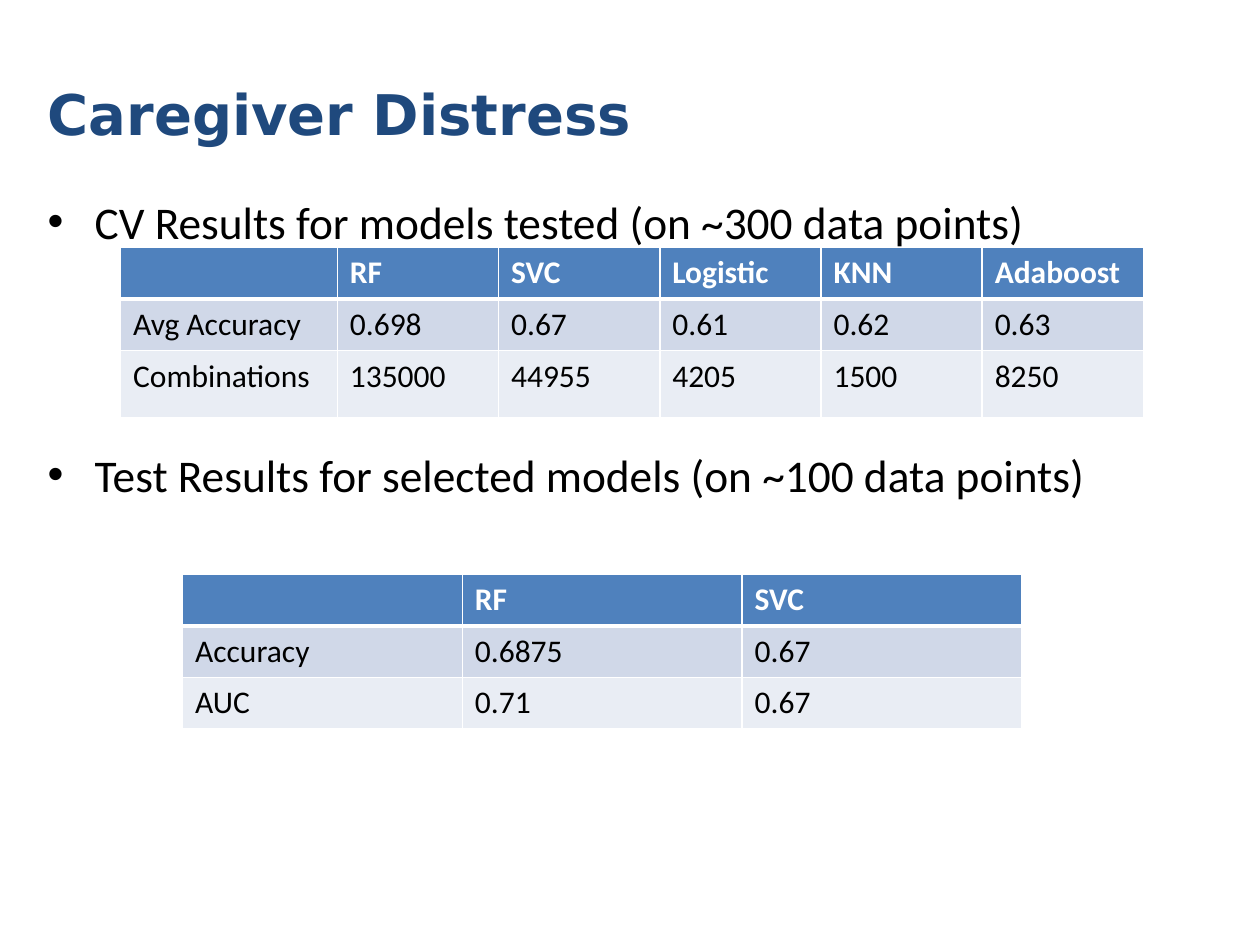
from dataclasses import dataclass

from lxml import etree
from pptx import Presentation
from pptx import util as u
from pptx.dml.color import RGBColor
from pptx.enum import text
from pptx.oxml import ns


@dataclass(frozen=True)
class Theme:
    """Colours, fonts and type sizes of the slide."""
    heading: str = "1F497D"
    ink: str = "000000"
    paper: str = "FFFFFF"
    header: str = "4F81BD"
    bands: tuple = ("D0D8E8", "E9EDF4")
    title_font: str = "DejaVu Sans"
    body_font: str = "Calibri"
    title_size: float = 32
    body_size: float = 25.9
    table_size: float = 18
    rule: float = 1
    header_rule: float = 3


THEME = Theme()


def add_span(para, words, font, size, color, bold=False):
    """Append one styled run to a paragraph."""
    span = para.add_run()
    span.text = words
    span.font.name = font
    span.font.size = u.Pt(size)
    span.font.bold = bold
    span.font.color.rgb = RGBColor.from_string(color)


def add_title(page, box, words):
    """Place the heading, centred vertically in its box."""
    frame = page.shapes.add_textbox(*map(u.Cm, box)).text_frame
    frame.word_wrap = True
    frame.vertical_anchor = text.MSO_ANCHOR.MIDDLE
    add_span(frame.paragraphs[0], words, THEME.title_font, THEME.title_size,
             THEME.heading, bold=True)


def add_bullets(page, box, items, gap, indent=u.Cm(0.95)):
    """Place a bulleted list with a gap in points between its items."""
    frame = page.shapes.add_textbox(*map(u.Cm, box)).text_frame
    frame.word_wrap = True
    for index, words in enumerate(items):
        para = frame.add_paragraph() if index else frame.paragraphs[0]
        props = para._p.get_or_add_pPr()
        props.set("marL", str(indent))
        props.set("indent", str(-indent))
        etree.SubElement(props, ns.qn("a:buFont"), typeface="Arial")
        etree.SubElement(props, ns.qn("a:buChar"), char="•")
        if index:
            para.space_before = u.Pt(gap)
        add_span(para, words, THEME.body_font, THEME.body_size, THEME.ink)


def set_borders(cell, top, bottom):
    """Rule all four sides of a cell, with its own top and bottom widths."""
    props = cell._tc.get_or_add_tcPr()
    widths = {"lnL": THEME.rule, "lnR": THEME.rule, "lnT": top, "lnB": bottom}
    for side, width in widths.items():
        line = etree.SubElement(props, ns.qn(f"a:{side}"), w=str(u.Pt(width)))
        fill = etree.SubElement(line, ns.qn("a:solidFill"))
        etree.SubElement(fill, ns.qn("a:srgbClr"), val=THEME.paper)


def add_results(page, corner, widths, heights, rows):
    """Place a banded results table with its top left at the corner."""
    box = (*corner, sum(widths), sum(heights))
    table = page.shapes.add_table(len(rows), len(widths), *map(u.Cm, box)).table
    table.horz_banding = False
    for column, width in zip(table.columns, widths):
        column.width = u.Cm(width)
    for r, (height, values) in enumerate(zip(heights, rows)):
        table.rows[r].height = u.Cm(height)
        is_header = r == 0
        fill = THEME.header if is_header else THEME.bands[(r - 1) % 2]
        color = THEME.paper if is_header else THEME.ink
        top = THEME.header_rule if r == 1 else THEME.rule
        bottom = THEME.header_rule if is_header else THEME.rule
        for c, value in enumerate(values):
            cell = table.cell(r, c)
            set_borders(cell, top, bottom)
            cell.fill.solid()
            cell.fill.fore_color.rgb = RGBColor.from_string(fill)
            if value:
                add_span(cell.text_frame.paragraphs[0], value, THEME.body_font,
                         THEME.table_size, color, bold=is_header)


def main():
    """Build and save the slide."""
    deck = Presentation()
    deck.slide_width, deck.slide_height = u.Cm(25.4), u.Cm(19.05)
    page = deck.slides.add_slide(deck.slide_layouts[6])
    add_title(page, (0.71, 0.69, 22.86, 3.18), "Caregiver Distress")
    add_bullets(page, (0.71, 3.78, 22.86, 6.65), [
        "CV Results for models tested (on ~300 data points)",
        "Test Results for selected models (on ~100 data points)",
    ], gap=113.5)
    add_results(page, (2.43, 4.99), [4.37] + [3.25] * 5, [1.04, 1.04, 1.35], [
        ["", "RF", "SVC", "Logistic", "KNN", "Adaboost"],
        ["Avg Accuracy", "0.698", "0.67", "0.61", "0.62", "0.63"],
        ["Combinations", "135000", "44955", "4205", "1500", "8250"],
    ])
    add_results(page, (3.68, 11.58), [5.64] * 3, [1.04] * 3, [
        ["", "RF", "SVC"],
        ["Accuracy", "0.6875", "0.67"],
        ["AUC", "0.71", "0.67"],
    ])
    deck.save("out.pptx")


if __name__ == "__main__":
    main()
